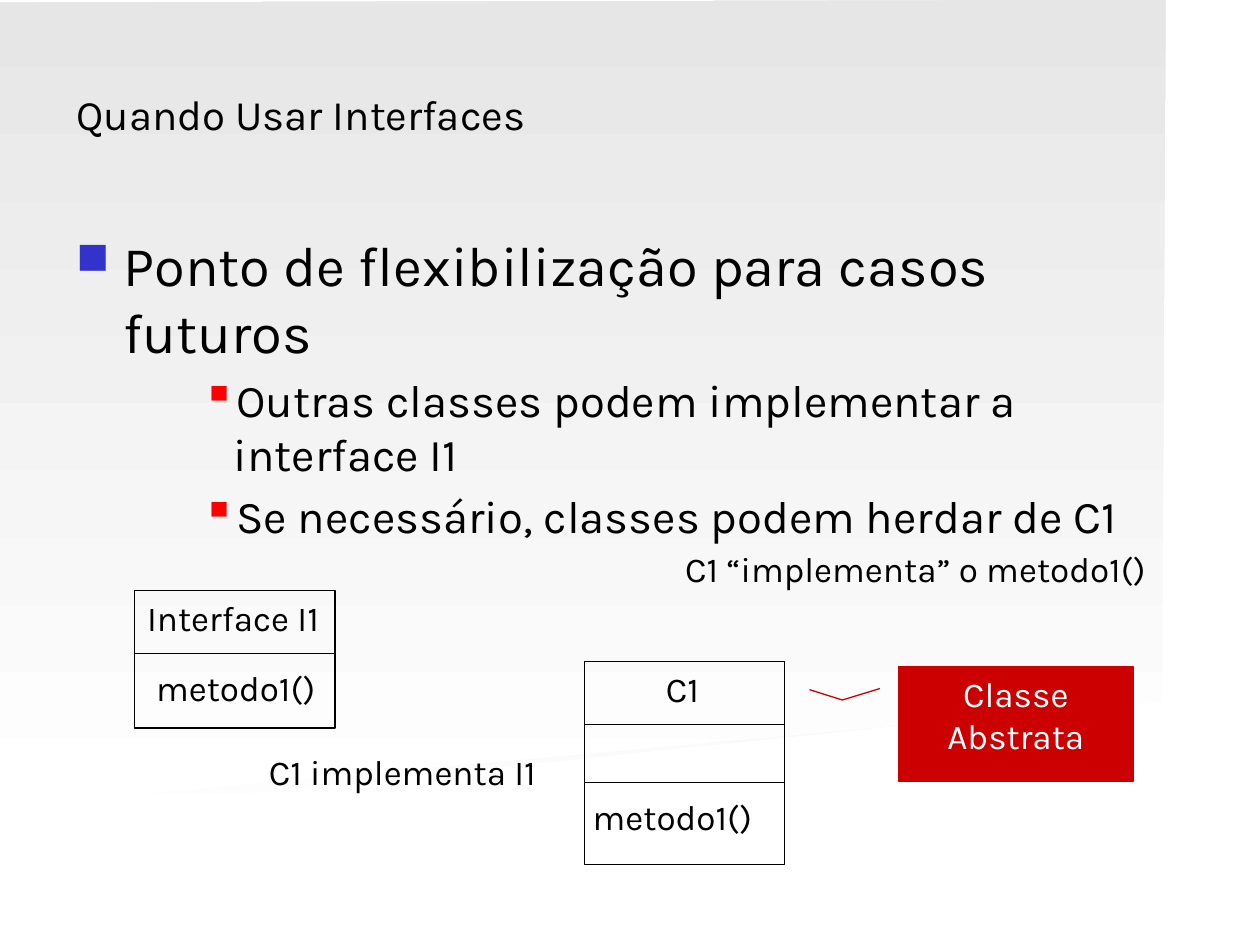
from lxml import etree
from pptx import Presentation
from pptx import util as u
from pptx.dml.color import RGBColor
from pptx.enum import shapes, text
from pptx.oxml.ns import qn

COLORS = {
    "ink": "000000",
    "paper": "FFFFFF",
    "silver": "D8D8D8",
    "mist": "E6E6E6",
    "alert": "CC0000",
    "blue": "3333CC",
    "red": "FF0000",
}


def rgb(name):
    return RGBColor.from_string(COLORS[name])


def write(paragraph, content, *, size=20, color="ink", font="Karla", align=None,
          before=0, level=0, margin=0, hanging=0, bullet=None, bullet_color="ink",
          bullet_percent=100):
    if bullet:
        properties = paragraph._p.get_or_add_pPr()
        properties.set("marL", str(u.Pt(margin)))
        properties.set("indent", str(-u.Pt(hanging)))
        tint = etree.SubElement(properties, qn("a:buClr"))
        etree.SubElement(tint, qn("a:srgbClr"), val=COLORS[bullet_color])
        etree.SubElement(properties, qn("a:buSzPct"), val=str(bullet_percent * 1000))
        etree.SubElement(properties, qn("a:buChar"), char=bullet)
    paragraph.level = level
    if before:
        paragraph.space_before = u.Pt(before)
    if align is not None:
        paragraph.alignment = align
    run = paragraph.add_run()
    run.text = content
    run.font.name = font
    run.font.size = u.Pt(size)
    run.font.color.rgb = rgb(color)


class SlideBuilder:
    line_width = 0.75
    label_height = 31.5

    def __init__(self, slide):
        self.slide = slide

    def backdrop(self, corners, top_color):
        points = [(u.Pt(x), u.Pt(y)) for x, y in corners]
        outline = self.slide.shapes.build_freeform(*points[0])
        outline.add_line_segments(points[1:], close=True)
        panel = outline.convert_to_shape()
        panel.shadow.inherit = False
        panel.line.fill.background()
        panel.fill.gradient()
        panel.fill.gradient_angle = 90
        for stop, color, position in zip(panel.fill.gradient_stops, ("paper", top_color), (0, 1)):
            stop.color.rgb = rgb(color)
            stop.position = position

    def textbox(self, left, top, width, height, paragraphs, wrap=True,
                anchor=text.MSO_ANCHOR.TOP):
        box = self.slide.shapes.add_textbox(*map(u.Pt, (left, top, width, height)))
        frame = box.text_frame
        frame.word_wrap = wrap
        frame.vertical_anchor = anchor
        for index, (content, style) in enumerate(paragraphs):
            paragraph = frame.add_paragraph() if index else frame.paragraphs[0]
            write(paragraph, content, **style)

    def label(self, left, top, width, content):
        self.textbox(left, top, width, self.label_height,
                     [(content, {"align": text.PP_ALIGN.CENTER})], wrap=False)

    def shape(self, kind, left, top, width, height, line, fill=None):
        figure = self.slide.shapes.add_shape(kind, *map(u.Pt, (left, top, width, height)))
        figure.shadow.inherit = False
        figure.line.color.rgb = rgb(line)
        figure.line.width = u.Pt(self.line_width)
        if fill:
            figure.fill.solid()
            figure.fill.fore_color.rgb = rgb(fill)
        else:
            figure.fill.background()
        return figure

    def class_box(self, left, top, width, height, dividers):
        self.shape(shapes.MSO_SHAPE.RECTANGLE, left, top, width, height, "ink")
        for offset in dividers:
            y = top + offset
            divider = self.slide.shapes.add_connector(
                shapes.MSO_CONNECTOR.STRAIGHT, *map(u.Pt, (left, y, left + width, y)))
            divider.line.color.rgb = rgb("ink")
            divider.line.width = u.Pt(self.line_width)
            etree.SubElement(divider._element.spPr, qn("a:effectLst"))

    def callout(self, left, top, width, height, content, pointer):
        note = self.shape(shapes.MSO_SHAPE.LINE_CALLOUT_2, left, top, width, height,
                          "alert", "alert")
        for index, value in enumerate(pointer):
            note.adjustments[index] = value
        note.text_frame.word_wrap = True
        note.text_frame.vertical_anchor = text.MSO_ANCHOR.TOP
        write(note.text_frame.paragraphs[0], content, color="paper",
              align=text.PP_ALIGN.CENTER)


def main():
    deck = Presentation()
    deck.slide_width, deck.slide_height = u.Pt(720), u.Pt(540)
    page = SlideBuilder(deck.slides.add_slide(deck.slide_layouts[6]))

    page.backdrop([(644.5, 401), (0, 468), (0, 336), (644.5, 180)], "silver")
    page.backdrop([(664, 401), (0, 461), (0, 1.5), (666, 0)], "mist")

    page.textbox(36.5, 20, 648, 90, [("Quando Usar Interfaces", {"size": 24})],
                 anchor=text.MSO_ANCHOR.MIDDLE)

    page.class_box(334, 378, 114.5, 116, [36, 69])
    page.label(371, 378, 38, "C1")
    page.label(328.5, 451, 111.5, "metodo1()")
    page.label(139.5, 425.5, 181, "C1 implementa I1")
    page.label(377.5, 309.5, 291.5, "C1 “implementa” o metodo1()")

    page.class_box(77, 337.5, 114.5, 78.5, [36])
    page.label(72, 337.5, 122.5, "Interface I1")
    page.label(79, 377.5, 111.5, "metodo1()")

    page.callout(513.5, 381, 134, 65.5, "Classe Abstrata",
                 [0.19, -0.08, 0.29, -0.24, 0.2, -0.38])

    topic = {"size": 32, "margin": 27, "hanging": 27, "bullet": "■",
             "bullet_color": "blue", "bullet_percent": 80}
    detail = {"size": 26, "before": 4, "level": 2, "margin": 90, "hanging": 18,
              "bullet": "▪", "bullet_color": "red"}
    page.textbox(36.5, 128, 648, 354, [
        ("Ponto de flexibilização para casos futuros", topic),
        ("Outras classes podem implementar a interface I1", detail),
        ("Se necessário, classes podem herdar de C1", detail),
    ])

    deck.save("out.pptx")


if __name__ == "__main__":
    main()
